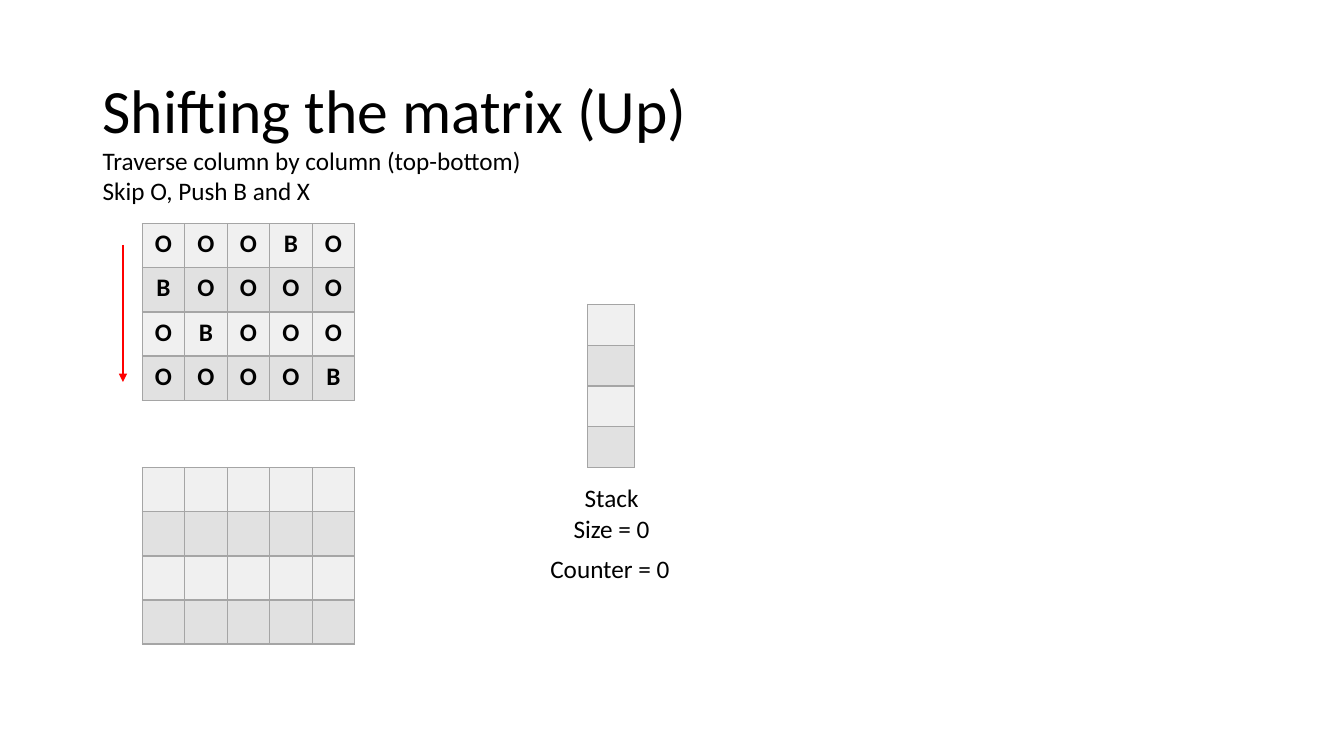
from lxml import etree
from pptx import Presentation, util as u
from pptx.dml.color import RGBColor
from pptx.enum import shapes, text
from pptx.oxml.ns import qn

FONT = "Calibri"
BLACK, RED, GREY = "000000", "FF0000", "A5A5A5"
BANDS = ("F0F0F0", "E1E1E1")
SLIDE_WIDTH, SLIDE_HEIGHT = u.Inches(13.33), u.Inches(7.5)

# Left edges and sizes shared by several parts, in percent of the slide
TEXT_LEFT = 6.9
MATRIX_LEFT, MATRIX_WIDTH, MATRIX_HEIGHT = 10.58, 15.83, 23.33
MATRIX = ("OOOBO", "BOOOO", "OBOOO", "OOOOB")
EMPTY_MATRIX = (" " * 5,) * 4
EMPTY_STACK = (" ",) * 4


def color(hex_string):
    return RGBColor.from_string(hex_string)


def across(percent):
    return round(SLIDE_WIDTH * percent / 100)


def down(percent):
    return round(SLIDE_HEIGHT * percent / 100)


def place(left, top, width, height):
    return across(left), down(top), across(width), down(height)


def style(paragraph, size=18, bold=False, align=text.PP_ALIGN.LEFT):
    paragraph.alignment = align
    font = paragraph.font
    font.name, font.size, font.bold = FONT, u.Pt(size), bold
    font.color.rgb = color(BLACK)


def add_text(slide, box, lines, size=18, align=text.PP_ALIGN.LEFT, wrap=False):
    frame = slide.shapes.add_textbox(*place(*box)).text_frame
    frame.word_wrap = wrap
    frame.text = "\n".join(lines)
    for paragraph in frame.paragraphs:
        style(paragraph, size, align=align)
    return frame


def add_borders(cell):
    properties = cell._tc.get_or_add_tcPr()
    for position, side in enumerate(("a:lnL", "a:lnR", "a:lnT", "a:lnB")):
        line = etree.Element(qn(side), w=str(u.Pt(1)))
        fill = etree.SubElement(line, qn("a:solidFill"))
        etree.SubElement(fill, qn("a:srgbClr"), val=GREY)
        properties.insert(position, line)


def add_grid(slide, box, rows):
    """Table with one letter per cell and alternating row fills."""
    row_count, column_count = len(rows), len(rows[0])
    table = slide.shapes.add_table(row_count, column_count, *place(*box)).table
    for row in table.rows:
        row.height = down(box[3] / row_count)
    for row_index, letters in enumerate(rows):
        for column_index, letter in enumerate(letters):
            cell = table.cell(row_index, column_index)
            cell.text = letter.strip()
            style(cell.text_frame.paragraphs[0], bold=True,
                  align=text.PP_ALIGN.CENTER)
            cell.fill.solid()
            cell.fill.fore_color.rgb = color(BANDS[row_index % 2])
            add_borders(cell)


def add_down_arrow(slide, left, top, bottom):
    arrow = slide.shapes.add_connector(
        shapes.MSO_CONNECTOR.STRAIGHT,
        across(left), down(top), across(left), down(bottom))
    arrow.line.color.rgb = color(RED)
    arrow.line.width = u.Pt(1.5)
    etree.SubElement(arrow.line._get_or_add_ln(), qn("a:tailEnd"),
                     type="triangle")
    etree.SubElement(arrow._element.spPr, qn("a:effectLst"))


def main():
    presentation = Presentation()
    presentation.slide_width = SLIDE_WIDTH
    presentation.slide_height = SLIDE_HEIGHT
    slide = presentation.slides.add_slide(presentation.slide_layouts[6])

    # Heading and instructions
    title = add_text(slide, (TEXT_LEFT, 5.33, 86.27, 19.33),
                     ["Shifting the matrix (Up)"], size=44, wrap=True)
    title.vertical_anchor = text.MSO_ANCHOR.MIDDLE
    title.paragraphs[0].line_spacing = 0.9
    add_text(slide, (TEXT_LEFT, 18.53, 33, 9.47),
             ["Traverse column by column (top-bottom)", "Skip O, Push B and X"])

    # Source matrix with its traversal direction, then the result matrix
    for top, rows in ((29.6, MATRIX), (61.87, EMPTY_MATRIX)):
        add_grid(slide, (MATRIX_LEFT, top, MATRIX_WIDTH, MATRIX_HEIGHT), rows)
    add_down_arrow(slide, 9.15, 32.4, 50.53)

    # Stack and its state
    add_grid(slide, (43.73, 40.27, 3.47, 21.6), EMPTY_STACK)
    add_text(slide, (41.86, 63.2, 7.28, 9.47), ["Stack", "Size = 0"],
             align=text.PP_ALIGN.CENTER)
    add_text(slide, (40.21, 72.53, 10.5, 5.33), ["Counter = 0"])

    presentation.save("out.pptx")


main()
